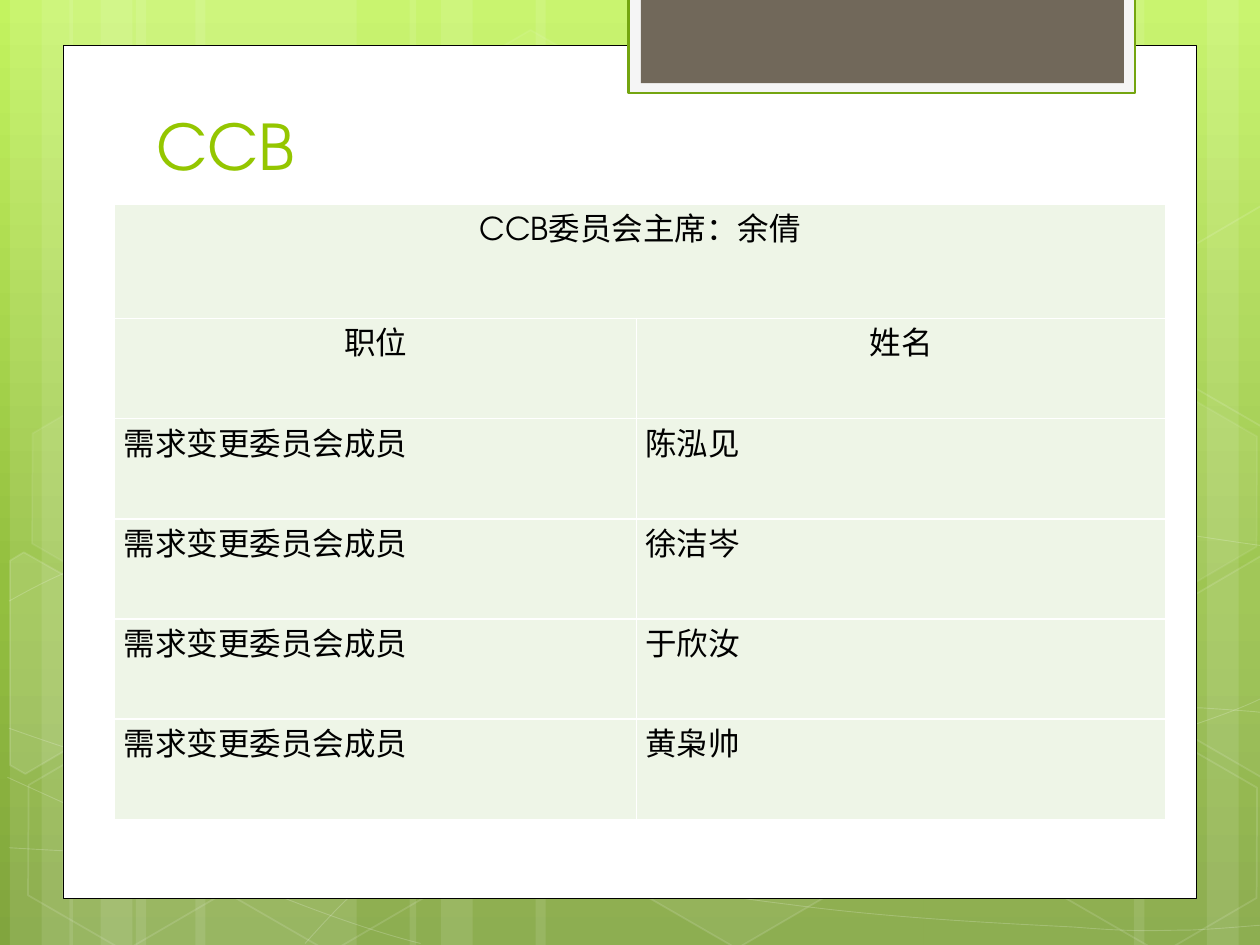
import math
import pptx
import pptx.dml.color
import pptx.enum.shapes
import pptx.enum.text
import pptx.oxml.ns
import pptx.util
from dataclasses import dataclass
from lxml import etree

Cm, Pt = pptx.util.Cm, pptx.util.Pt
MSO_SHAPE = pptx.enum.shapes.MSO_SHAPE
PP_ALIGN = pptx.enum.text.PP_ALIGN
qn = pptx.oxml.ns.qn


@dataclass(frozen=True)
class Theme:
    font: str = "TeX Gyre Adventor"
    title_size: int = 36
    body_size: int = 18
    title: str = "94C600"
    text: str = "000000"
    white: str = "FFFFFF"
    cell: str = "EEF5E7"
    tab_frame: str = "F5F5F5"
    tab_line: str = "74A510"
    tab: str = "71685A"
    backdrop: tuple = ((0, "C3F35F"), (62, "93BF3F"), (100, "81A53E"))


THEME = Theme()
SLIDE_W, SLIDE_H = 25.4, 19.05
TILT = 30

# Left edge and width of each vertical band
BANDS = [(2.74, 4.45), (0.2, 1.27), (0.84, 2.11), (3.94, 4.45), (1.4, 1.27),
         (2.03, 2.11), (18.62, 4.45), (24.33, 1.27), (22.86, 2.11),
         (10.8, 7.82), (8.26, 1.27), (8.89, 2.11)]

# Start point, then cubic segments (two controls and an end point)
WAVES = [
    ((0.18, 17.09), [(1.55, 17.17, 2.92, 17.25, 4.83, 17.22),
                     (6.73, 17.2, 9.09, 17.15, 11.63, 16.89),
                     (14.17, 16.64, 17.78, 16.15, 20.12, 15.67),
                     (22.43, 15.19, 24.82, 14.43, 25.58, 14)]),
    ((0.18, 12.12), [(0.91, 11.71, 1.65, 11.33, 3.07, 10.95),
                     (4.52, 10.57, 6.58, 10.01, 8.81, 9.83),
                     (11.07, 9.65, 13.82, 9.63, 16.61, 9.83),
                     (19.41, 10.03, 24.05, 10.82, 25.58, 11.02)]),
    ((0.15, 15.67), [(3.23, 17.07, 6.27, 18.47, 8.48, 19.02)]),
    ((0.18, 14.68), [(0.97, 14.96, 1.78, 15.24, 3.25, 15.65),
                     (4.72, 16.03, 6.93, 16.66, 9.07, 17.09),
                     (11.18, 17.53, 13.84, 17.98, 15.95, 18.24),
                     (18.06, 18.52, 20.32, 18.62, 21.67, 18.69),
                     (22.99, 18.8, 23.34, 18.75, 24, 18.75),
                     (24.66, 18.72, 25.12, 18.67, 25.58, 18.64)]),
    ((6.15, 19.02), [(6.6, 18.52, 7.06, 18.01, 7.67, 17.55),
                     (8.28, 17.09, 9.14, 16.59, 9.86, 16.23),
                     (10.54, 15.88, 11, 15.72, 11.94, 15.47),
                     (12.85, 15.21, 14.55, 14.86, 15.44, 14.68),
                     (16.36, 14.5, 16.48, 14.5, 17.27, 14.45),
                     (18.06, 14.38, 19.3, 14.3, 20.17, 14.27),
                     (21.06, 14.25, 22.5, 14.27, 22.5, 14.27),
                     (23.07, 14.27, 23.64, 14.27, 24.21, 14.27),
                     (24.66, 14.3, 25.1, 14.33, 25.32, 14.35),
                     (25.55, 14.38, 25.48, 14.35, 25.55, 14.38)]),
]

# Left, top, fill opacity (None: outline only), line opacity
HEXAGONS = [(8.48, 0.91, 4, 8), (12.62, 14.96, 6, 12), (0.28, 15.01, None, 12),
            (0.36, 7.92, 7, 8), (4.42, 15.04, None, 12), (19.13, 11.51, 10, 12),
            (21.18, 15.06, None, 12), (21.18, 7.98, 7, 8)]

# Hexagons cut off at the slide edge: centre, tilted corners, fill opacity
CUT_HEXAGONS = [
    ((0.91, 13.59), [(0.2, 11.3), (0.48, 11.13), (2.44, 12.24), (2.41, 14.48),
                     (0.51, 15.6), (0.2, 15.42)], 10),
    ((25.02, 13.21), [(23.52, 12.32), (25.43, 11.2), (25.63, 11.33),
                      (25.63, 15.57), (25.45, 15.67), (23.52, 14.55)], 4),
    ((25.02, 6.12), [(23.52, 5.26), (25.43, 4.14), (25.65, 4.27),
                     (25.63, 8.51), (25.45, 8.61), (23.52, 7.49)], None),
]

MEMBERS = ["陈泓见", "徐洁岑", "于欣汝", "黄枭帅"]


def rgb(color):
    return pptx.dml.color.RGBColor.from_string(color)


def paint(fill, color, alpha=100):
    if alpha is None:
        fill.background()
        return
    fill.solid()
    fill.fore_color.rgb = rgb(color)
    if alpha < 100:
        # The colour element is the only child of the solid fill
        node = fill._xPr.find(qn("a:solidFill"))[0]
        etree.SubElement(node, qn("a:alpha"), val=str(alpha * 1000))


def style(sp, color, alpha=100, line=None, width=1, line_alpha=100):
    sp.shadow.inherit = False
    paint(sp.fill, color, alpha)
    if line is None:
        sp.line.fill.background()
    else:
        sp.line.width = Pt(width)
        paint(sp.line.fill, line, line_alpha)


def add_box(slide, kind, x, y, w, h, color, **look):
    sp = slide.shapes.add_shape(kind, Cm(x), Cm(y), Cm(w), Cm(h))
    style(sp, color, **look)
    return sp


def add_outline(slide, points, close, **look):
    start, *rest = [(Cm(x), Cm(y)) for x, y in points]
    builder = slide.shapes.build_freeform(*start)
    builder.add_line_segments(rest, close=close)
    sp = builder.convert_to_shape()
    style(sp, THEME.white, line=THEME.white, **look)
    return sp


def add_wave(slide, start, segments):
    ends = [start] + [seg[4:] for seg in segments]
    sp = add_outline(slide, ends, False, alpha=None, width=0.5, line_alpha=20)
    # Turn each straight step into a cubic curve
    lines = list(sp._element.iter(qn("a:lnTo")))
    for node, seg in zip(lines, segments):
        curve = etree.Element(qn("a:cubicBezTo"))
        for x, y in zip(seg[::2], seg[1::2]):
            etree.SubElement(curve, qn("a:pt"), x=str(Cm(x) - sp.left),
                             y=str(Cm(y) - sp.top))
        node.getparent().replace(node, curve)


def turn(point, centre, degrees):
    dx, dy = point[0] - centre[0], point[1] - centre[1]
    c, s = math.cos(math.radians(degrees)), math.sin(math.radians(degrees))
    return centre[0] + dx * c - dy * s, centre[1] + dx * s + dy * c


def add_text(p, text, size, color):
    r = p.add_run()
    r.text = text
    r.font.size = Pt(size)
    r.font.name = THEME.font
    r.font.color.rgb = rgb(color)


def set_backdrop(slide):
    fill = slide.background.fill
    fill.gradient()
    fill.gradient_angle = 270
    stops = slide.background._cSld.find(".//" + qn("a:gsLst"))
    for stop in list(stops):
        stops.remove(stop)
    for pos, color in THEME.backdrop:
        gs = etree.SubElement(stops, qn("a:gs"), pos=str(pos * 1000))
        etree.SubElement(gs, qn("a:srgbClr"), val=color)


def add_decoration(slide):
    for x, w in BANDS:
        add_box(slide, MSO_SHAPE.RECTANGLE, x, 0, w, SLIDE_H, THEME.white, alpha=10)
    for start, segments in WAVES:
        add_wave(slide, start, segments)
    for x, y, alpha, line_alpha in HEXAGONS:
        sp = add_box(slide, MSO_SHAPE.HEXAGON, x, y, 4.45, 3.86, THEME.white,
                     alpha=alpha, line=THEME.white, line_alpha=line_alpha)
        sp.adjustments[0] = 0.285
        sp.rotation = TILT
    for centre, corners, alpha in CUT_HEXAGONS:
        upright = [turn(corner, centre, -TILT) for corner in corners]
        sp = add_outline(slide, upright, True, alpha=alpha, line_alpha=12)
        sp.rotation = TILT


def add_panel(slide):
    rect = MSO_SHAPE.RECTANGLE
    add_box(slide, rect, 1.27, 0.91, 22.86, 17.2, THEME.white,
            line=THEME.text, width=0.5)
    add_box(slide, rect, 12.67, -0.05, 10.21, 1.93, THEME.tab_frame,
            line=THEME.tab_line, width=1.25)
    add_box(slide, rect, 12.92, -0.05, 9.74, 1.73, THEME.tab)


def add_title(slide, text):
    tf = slide.shapes.add_textbox(Cm(2.9), Cm(1.92), Cm(19.5), Cm(1.9)).text_frame
    tf.word_wrap = True
    tf.vertical_anchor = pptx.enum.text.MSO_ANCHOR.BOTTOM
    add_text(tf.paragraphs[0], text, THEME.title_size, THEME.title)


def fill_cell(cell, text, align):
    tcPr = cell._tc.get_or_add_tcPr()
    for side in ("lnL", "lnR", "lnT", "lnB"):
        ln = etree.SubElement(tcPr, qn("a:" + side), w=str(Pt(1)))
        solid = etree.SubElement(ln, qn("a:solidFill"))
        etree.SubElement(solid, qn("a:srgbClr"), val=THEME.white)
    paint(cell.fill, THEME.cell)
    cell.margin_left = cell.margin_right = Cm(0.18)
    cell.margin_top = cell.margin_bottom = 0
    if text:
        p = cell.text_frame.paragraphs[0]
        p.alignment = align
        add_text(p, text, THEME.body_size, THEME.text)


def add_member_table(slide):
    rows = [("CCB委员会主席：余倩", ""), ("职位", "姓名")]
    rows += [("需求变更委员会成员", name) for name in MEMBERS]
    table = slide.shapes.add_table(len(rows), 2, Cm(2.31), Cm(4.12),
                                   Cm(21.19), Cm(12.4)).table
    table.first_row = table.horz_banding = False
    table.columns[0].width, table.columns[1].width = Cm(10.52), Cm(10.67)
    for i, row in enumerate(rows):
        table.rows[i].height = Cm(2.02 if i else 2.3)
        align = PP_ALIGN.CENTER if i < 2 else PP_ALIGN.JUSTIFY
        for j, text in enumerate(row):
            fill_cell(table.cell(i, j), text, align)
    table.cell(0, 0).merge(table.cell(0, 1))


def main():
    prs = pptx.Presentation()
    prs.slide_width, prs.slide_height = Cm(SLIDE_W), Cm(SLIDE_H)
    slide = prs.slides.add_slide(prs.slide_layouts[6])
    set_backdrop(slide)
    add_decoration(slide)
    add_panel(slide)
    add_title(slide, "CCB")
    add_member_table(slide)
    prs.save("out.pptx")


main()
